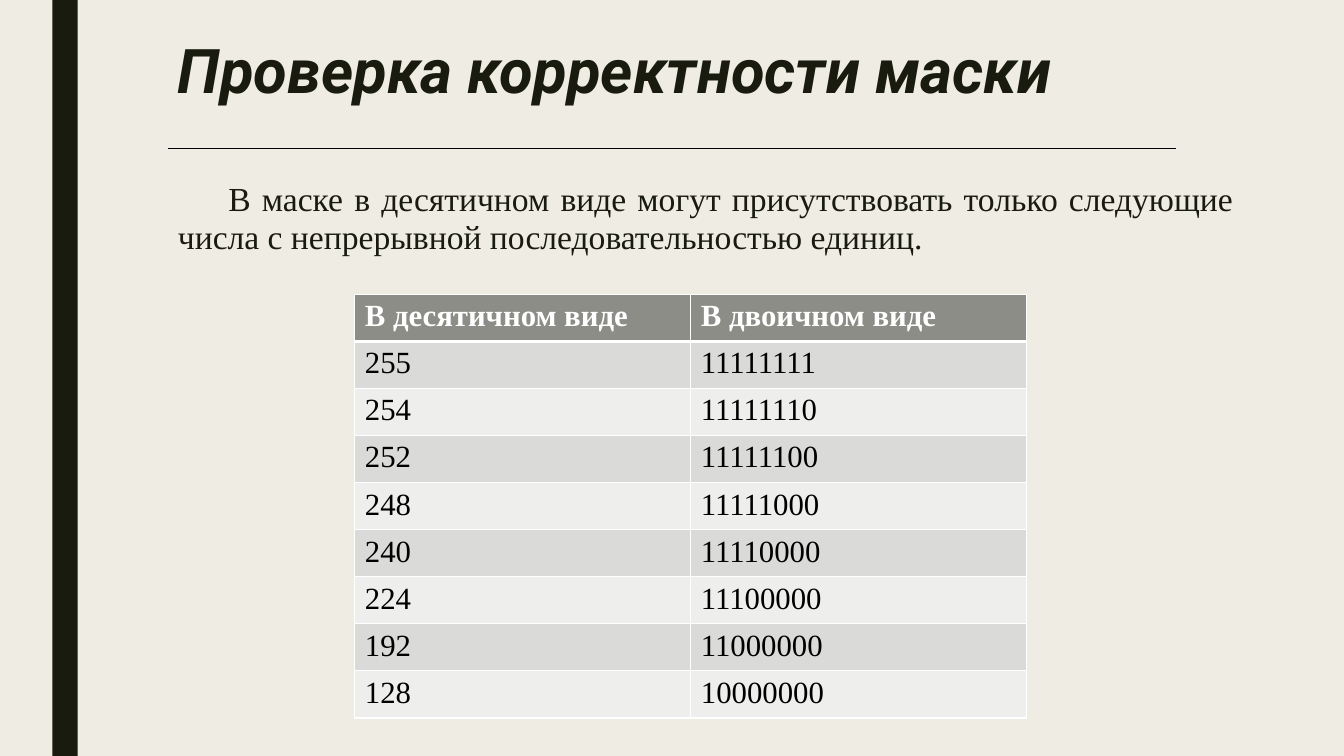
from lxml import etree
from pptx import Presentation, util as u
from pptx.dml.color import RGBColor
from pptx.enum import shapes, text
from pptx.oxml import parse_xml
from pptx.oxml.ns import qn

HUES = {"back": "EFEDE3", "ink": "191B0E", "rule": "000000", "white": "FFFFFF",
        "head": "8C8D86", "odd": "DADBD9", "even": "EEEEED"}
NS = "http://schemas.openxmlformats.org/drawingml/2006/main"


def hue(name):
    return RGBColor.from_string(HUES[name])


def write(frame, words, size=22, font="Times New Roman", color="ink", bold=False,
          slant=False, align=None, lead=None, before=None, after=None, indent=None):
    frame.word_wrap = True
    para = frame.paragraphs[0]
    para.alignment = align
    para.line_spacing = lead
    para.space_before, para.space_after = before, after
    if indent:
        para._p.get_or_add_pPr().set("indent", str(indent))
    run = para.add_run()
    run.text = words
    run.font.size, run.font.name = u.Pt(size), font
    run.font.bold, run.font.italic = bold, slant
    run.font.color.rgb = hue(color)


deck = Presentation()
deck.slide_width, deck.slide_height = u.Inches(13.333), u.Inches(7.5)
wide, high = deck.slide_width, deck.slide_height
left = wide // 8
slide = deck.slides.add_slide(deck.slide_layouts[6])
slide.background.fill.solid()
slide.background.fill.fore_color.rgb = hue("back")

bar = slide.shapes.add_shape(shapes.MSO_SHAPE.RECTANGLE, u.Inches(0.52), 0, u.Inches(0.25), high)
bar.shadow.inherit = False
bar.fill.solid()
bar.fill.fore_color.rgb = hue("ink")
bar.line.fill.background()

title = slide.shapes.add_textbox(left, u.Inches(0.36), wide - left, u.Inches(1.25))
write(title.text_frame, "Проверка корректности маски", size=44, font="Roboto",
      bold=True, slant=True, lead=0.89)

body = slide.shapes.add_textbox(left, u.Inches(1.75), int(wide * 0.8), u.Inches(0.88))
write(body.text_frame, "В маске в десятичном виде могут присутствовать только следующие "
      "числа с непрерывной последовательностью единиц.", size=24,
      align=text.PP_ALIGN.JUSTIFY, lead=0.94, before=u.Pt(10), after=u.Pt(2),
      indent=u.Inches(0.5))

rule = slide.shapes.add_connector(shapes.MSO_CONNECTOR.STRAIGHT, left, u.Inches(1.47),
                                  left * 7, u.Inches(1.47))
rule.line.color.rgb = hue("rule")
rule.line.width = u.Pt(0.75)
etree.SubElement(rule._element.spPr, qn("a:effectLst"))

rows = [("В десятичном виде", "В двоичном виде")]
rows += [(str(n), f"{n:b}") for n in (256 - 2 ** bit for bit in range(8))]
tall = u.Inches(0.438)
table = slide.shapes.add_table(len(rows), 2, u.Inches(3.52), u.Inches(2.92),
                               wide // 2, tall * len(rows)).table
for r, row in enumerate(rows):
    table.rows[r].height = tall
    top = r == 0
    fill = "head" if top else "odd" if r % 2 else "even"
    for c, words in enumerate(row):
        cell = table.cell(r, c)
        write(cell.text_frame, words, color="white" if top else "rule", bold=top)
        props = cell._tc.get_or_add_tcPr()
        for side in "LRTB":
            thick = 3 if (r, side) in ((0, "B"), (1, "T")) else 1
            props.append(parse_xml(
                f'<a:ln{side} xmlns:a="{NS}" w="{u.Pt(thick)}"><a:solidFill>'
                f'<a:srgbClr val="{HUES["white"]}"/></a:solidFill></a:ln{side}>'))
        cell.fill.solid()
        cell.fill.fore_color.rgb = hue(fill)

deck.save("out.pptx")
